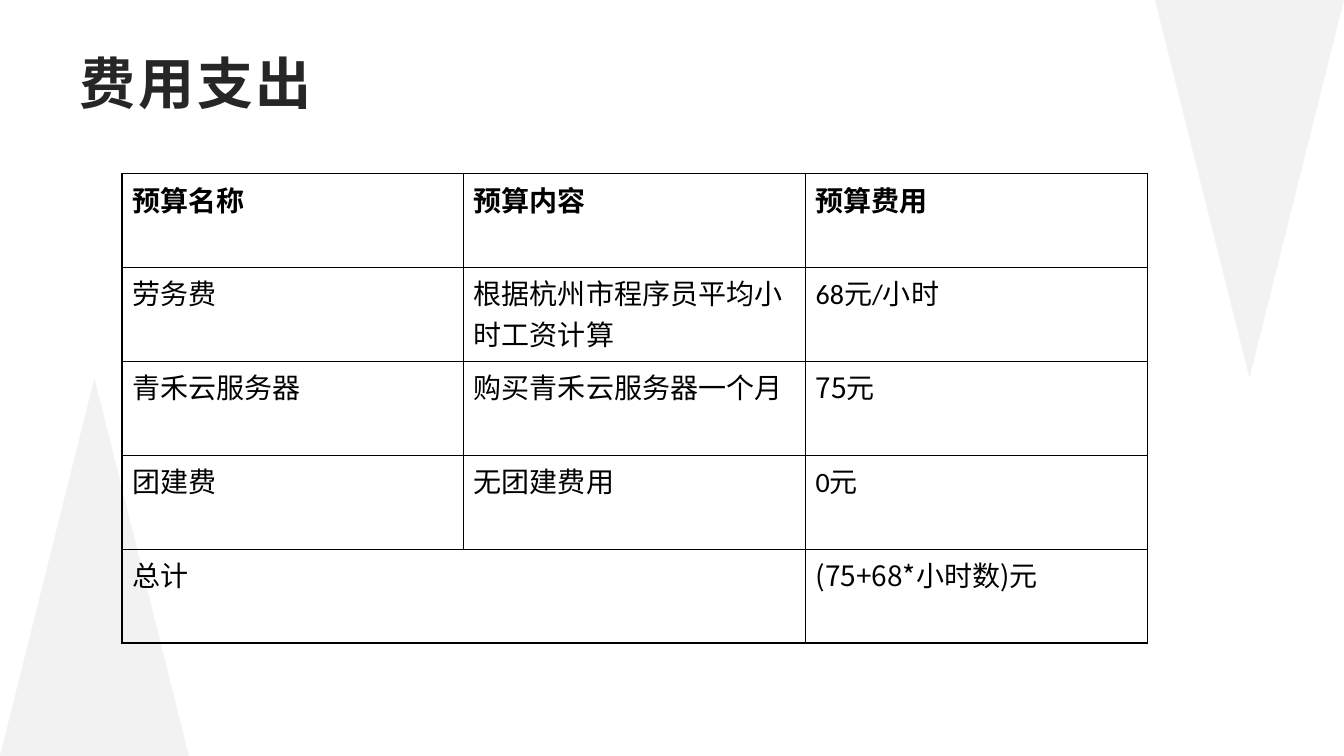
from pptx import Presentation
from pptx.dml.color import RGBColor
from pptx.enum.shapes import MSO_SHAPE
from pptx.enum.text import MSO_ANCHOR
from pptx.oxml import parse_xml
from pptx.oxml.ns import nsdecls, qn
from pptx.util import Inches, Pt

LATIN = "Calibri"
HAN = "Noto Sans CJK SC"
WIDTH, HEIGHT = Inches(13.33), Inches(7.5)
BUDGET = [
    [[("预算名称", LATIN)], [("预算内容", LATIN)], [("预算费用", LATIN)]],
    [[("劳务费", LATIN)], [("根据杭州市程序员平均小时工资计算", LATIN)], [("68元/小时", LATIN)]],
    [[("青禾云服务器", HAN)], [("购买青禾云服务器一个月", HAN)], [("75", HAN), ("元", LATIN)]],
    [[("团建费", LATIN)], [("无团建费用", HAN)], [("0元", LATIN)]],
    [[("总计", LATIN)], [], [("(75+68*小时数)", HAN), ("元", LATIN)]],
]


def color(value):
    return RGBColor.from_string(value)


def add_text(paragraph, text, font=LATIN, size=20, fill="000000", bold=False, spacing=None):
    run = paragraph.add_run()
    run.text = text
    run.font.size = Pt(size)
    run.font.bold = bold
    run.font.color.rgb = color(fill)
    run.font.name = font
    properties = run.font._element
    east_asian = parse_xml(f'<a:ea {nsdecls("a")} typeface="{HAN}"/>')
    properties.find(qn("a:latin")).addnext(east_asian)
    if spacing:
        properties.set("spc", str(spacing * 100))


def add_backdrop(slide, fill, flipped=False):
    backdrop = slide.shapes.add_shape(MSO_SHAPE.PARALLELOGRAM, 0, 0, WIDTH, HEIGHT)
    backdrop.shadow.inherit = False
    backdrop.fill.solid()
    backdrop.fill.fore_color.rgb = color(fill)
    backdrop.line.fill.background()
    if flipped:
        backdrop._element.spPr.find(qn("a:xfrm")).set("flipH", "1")


def add_title(slide, text):
    title = slide.shapes.add_textbox(Inches(0.68), Inches(0.44), Inches(11.97), Inches(0.94))
    frame = title.text_frame
    frame.word_wrap = True
    frame.vertical_anchor = MSO_ANCHOR.TOP
    frame.margin_left, frame.margin_right = Inches(0.11), Inches(0.08)
    frame.margin_top = frame.margin_bottom = Inches(0.04)
    add_text(frame.paragraphs[0], text, font=HAN, size=40, fill="262626", bold=True, spacing=2)


def add_borders(cell):
    properties = cell._tc.get_or_add_tcPr()
    for position, side in enumerate(("lnL", "lnR", "lnT", "lnB")):
        properties.insert(position, parse_xml(
            f'<a:{side} {nsdecls("a")} w="12700"><a:solidFill>'
            f'<a:srgbClr val="000000"/></a:solidFill></a:{side}>'))


def add_budget_table(slide, rows):
    budget = slide.shapes.add_table(
        len(rows), 3, Inches(1.21), Inches(1.72), Inches(10.17), Inches(4.66)).table
    budget.horz_banding = False
    for row_index, row in enumerate(rows):
        for column_index, runs in enumerate(row):
            cell = budget.cell(row_index, column_index)
            cell.fill.background()
            add_borders(cell)
            for text, font in runs:
                add_text(cell.text_frame.paragraphs[0], text, font=font, bold=row_index == 0)
    total_row = len(rows) - 1
    budget.cell(total_row, 0).merge(budget.cell(total_row, 1))


def main():
    presentation = Presentation()
    presentation.slide_width = WIDTH
    presentation.slide_height = HEIGHT
    slide = presentation.slides.add_slide(presentation.slide_layouts[6])
    add_backdrop(slide, "F2F2F2")
    add_backdrop(slide, "FFFFFF", flipped=True)
    add_title(slide, "费用支出")
    add_budget_table(slide, BUDGET)
    presentation.save("out.pptx")


if __name__ == "__main__":
    main()
